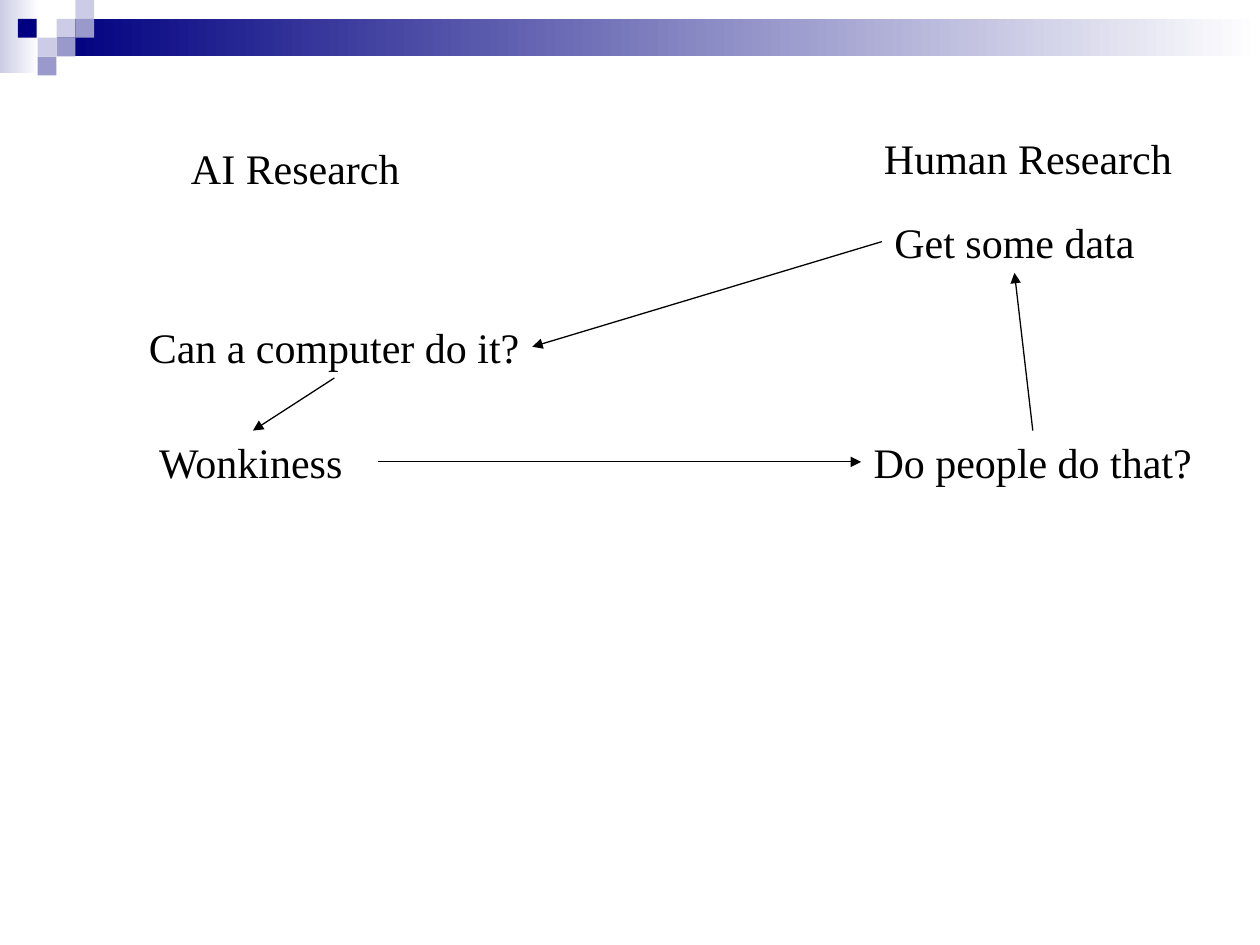
"""Build a slide showing the cycle between AI research and human research."""
from lxml import etree
from pptx import Presentation
from pptx.dml.color import RGBColor
from pptx.enum.shapes import MSO_CONNECTOR, MSO_SHAPE
from pptx.oxml.ns import qn
from pptx.util import Cm, Pt


def rgb(hex_code):
    return RGBColor.from_string(hex_code)


def add_text(text, left, top, width, size=24, font="Times New Roman", color="000000"):
    box = slide.shapes.add_textbox(Cm(left), Cm(top), Cm(width), Cm(1.27))
    frame = box.text_frame
    frame.word_wrap = True
    run = frame.paragraphs[0].add_run()
    run.text = text
    run.font.size = Pt(size)
    run.font.name = font
    run.font.color.rgb = rgb(color)


deck = Presentation()
deck.slide_width, deck.slide_height = Cm(25.4), Cm(19.05)
slide = deck.slides.add_slide(deck.slide_layouts[6])

NAVY, LAVENDER, PERIWINKLE = "000080", "CCCCE6", "9999CC"
TILE = 0.38

for left, top, width, height, start_color in [
    (0, 0, 0.79, 1.47, LAVENDER),
    (3 * TILE, TILE, 24.26, 2 * TILE, NAVY),
]:
    band = slide.shapes.add_shape(
        MSO_SHAPE.RECTANGLE, Cm(left), Cm(top), Cm(width), Cm(height))
    band.shadow.inherit = False
    band.line.fill.background()
    band.fill.gradient()
    band.fill.gradient_angle = 0
    for stop, color in zip(band.fill.gradient_stops, (start_color, "FFFFFF")):
        stop.color.rgb = rgb(color)
    band.fill.gradient_stops[0].position = 0
    band.fill.gradient_stops[1].position = 1

for column, row, color in [
    (3, 1, LAVENDER),
    (4, 0, LAVENDER),
    (4, 1, PERIWINKLE),
    (2, 2, LAVENDER),
    (0.95, 1, NAVY),
    (3, 2, PERIWINKLE),
    (2, 3, PERIWINKLE),
]:
    tile = slide.shapes.add_shape(
        MSO_SHAPE.RECTANGLE, Cm(column * TILE), Cm(row * TILE), Cm(TILE), Cm(TILE))
    tile.shadow.inherit = False
    tile.line.fill.background()
    tile.fill.solid()
    tile.fill.fore_color.rgb = rgb(color)

for label, left, top, width in [
    ("AI Research", 3.6, 2.75, 5),
    ("Human Research", 17.57, 2.54, 6.6),
    ("Get some data", 17.78, 4.23, 5.6),
    ("Can a computer do it?", 2.75, 6.35, 8.2),
    ("Wonkiness", 2.96, 8.68, 4.5),
    ("Do people do that?", 17.36, 8.68, 7.2),
]:
    add_text(label, left, top, width)

for start_x, start_y, end_x, end_y in [
    (17.78, 4.87, 10.73, 6.99),
    (6.74, 7.62, 5.1, 8.68),
    (7.62, 9.31, 17.36, 9.31),
    (20.82, 8.68, 20.45, 5.5),
]:
    arrow = slide.shapes.add_connector(
        MSO_CONNECTOR.STRAIGHT, Cm(start_x), Cm(start_y), Cm(end_x), Cm(end_y))
    arrow.line.width = Pt(0.75)
    arrow.line.color.rgb = rgb("000000")
    outline = arrow._element.spPr.find(qn("a:ln"))
    etree.SubElement(outline, qn("a:tailEnd"), type="triangle")
    etree.SubElement(arrow._element.spPr, qn("a:effectLst"))

deck.save("out.pptx")
